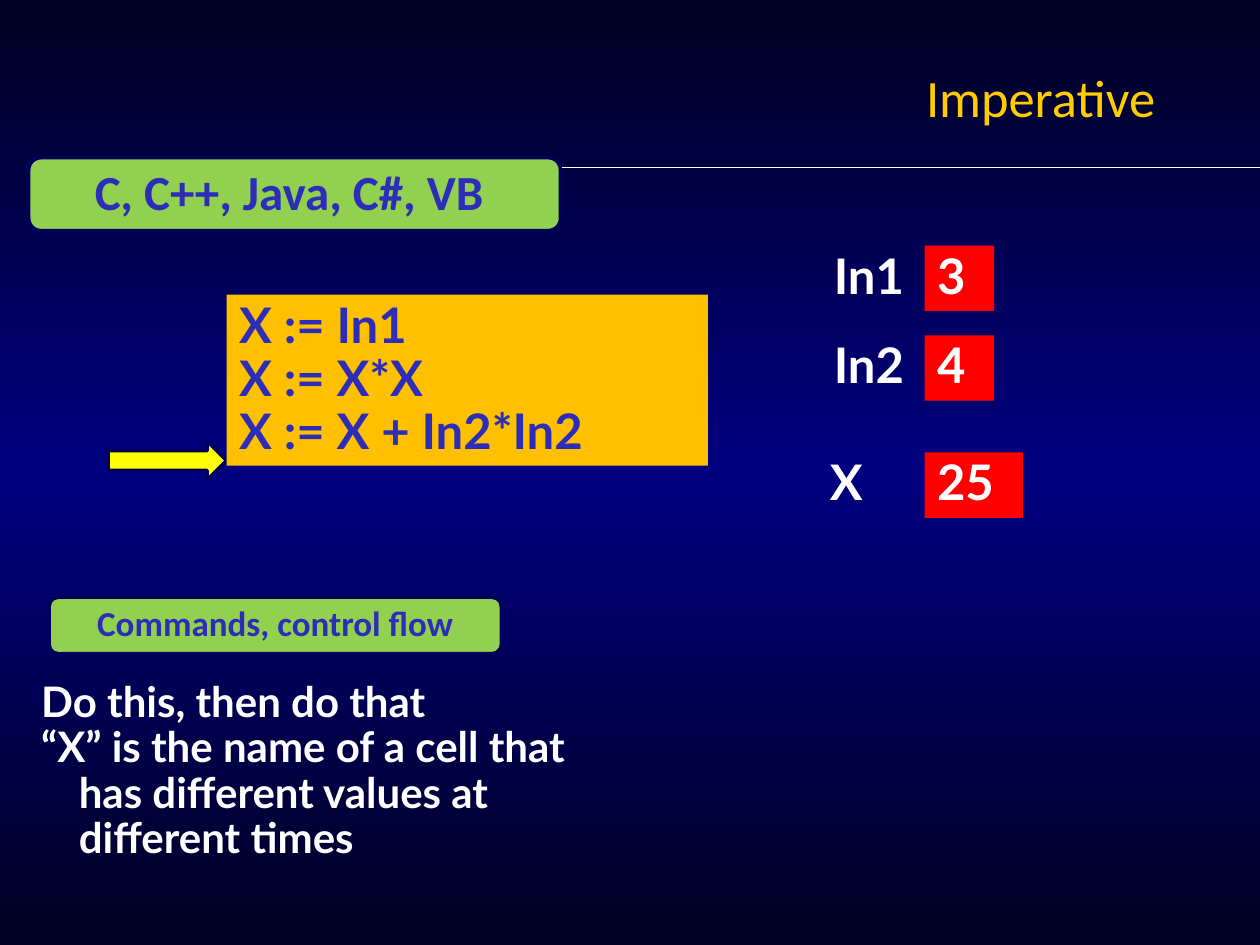
from copy import deepcopy
from dataclasses import dataclass

from lxml import etree
from pptx import Presentation
from pptx.dml.color import RGBColor
from pptx.enum.shapes import MSO_CONNECTOR, MSO_SHAPE
from pptx.enum.text import MSO_ANCHOR, PP_ALIGN
from pptx.oxml.ns import qn
from pptx.util import Cm, Pt

RECT, ROUND = MSO_SHAPE.RECTANGLE, MSO_SHAPE.ROUNDED_RECTANGLE
ARROW = MSO_SHAPE.RIGHT_ARROW
LEFT, MID, RIGHT = PP_ALIGN.LEFT, PP_ALIGN.CENTER, PP_ALIGN.RIGHT
TOP, CENTRE = MSO_ANCHOR.TOP, MSO_ANCHOR.MIDDLE
WHITE, NAVY, INK = "FFFFFF", "00005C", "2D2DB9"
GREEN, RED, AMBER = "92D050", "FF0000", "FFC000"
YELLOW, GOLD = "FFFF00", "FFCC00"


@dataclass
class Box:
    """Place of an element, in centimetres."""
    left: float
    top: float
    width: float
    height: float

    def place(self) -> tuple:
        return Cm(self.left), Cm(self.top), Cm(self.width), Cm(self.height)


@dataclass
class Style:
    size: float
    color: str
    font: str = "Lato"
    bold: bool = True
    align: PP_ALIGN = LEFT
    anchor: MSO_ANCHOR = TOP
    space: float = 0.9
    hang: float = 0
    wrap: bool = True


@dataclass
class Tag:
    box: Box
    text: str
    size: float


@dataclass
class Cell:
    """A named memory cell and the value it holds."""
    name: str
    value: str
    top: float
    left: float
    span: float
    width: float


TAGS = [
    Tag(Box(0.58, 3.18, 10.72, 1.47), "C, C++, Java, C#, VB ", 28),
    Tag(Box(0.99, 12.04, 9.12, 1.14), "Commands, control flow", 20),
]
CELLS = [
    Cell("In1", "3", 4.95, 16.56, 2.1, 1.4),
    Cell("In2", "4", 6.76, 16.56, 2.1, 1.4),
    Cell("X", "25", 9.12, 16.48, 1.17, 1.98),
]
CELL_LEFT, CELL_HIGH = 18.64, 1.32
CODE = ["X := In1", "X := X*X", "X := X + In2*In2"]
NOTES = [
    "Do this, then do that",
    "“X” is the name of a cell that has different values at different times",
]


def rgb(code: str) -> RGBColor:
    return RGBColor.from_string(code)


def paint(slide) -> None:
    """Fill the background, dark at both ends and blue in the middle."""
    fill = slide.background.fill
    fill.gradient()
    fill.gradient_angle = 90
    stops = next(slide.element.iter(qn("a:gsLst")))
    stops.append(deepcopy(stops[0]))
    shades = [(0, "000021"), (0.5, "000080"), (1, "000021")]
    for stop, (pos, color) in zip(fill.gradient_stops, shades):
        stop.position = pos
        stop.color.rgb = rgb(color)


def rule(slide, left: float, right: float, top: float) -> None:
    line = slide.shapes.add_connector(
        MSO_CONNECTOR.STRAIGHT, Cm(left), Cm(top), Cm(right), Cm(top))
    line.line.color.rgb = rgb(WHITE)
    line.line.width = Pt(0.75)
    etree.SubElement(line.element.spPr, qn("a:effectLst"))


def write(shape, lines: list[str], style: Style) -> None:
    frame = shape.text_frame
    frame.word_wrap = style.wrap
    frame.vertical_anchor = style.anchor
    for i, text in enumerate(lines):
        para = frame.add_paragraph() if i else frame.paragraphs[0]
        para.alignment = style.align
        para.line_spacing = style.space
        if style.hang:
            props = para._p.get_or_add_pPr()
            props.set("marL", str(Cm(style.hang)))
            props.set("indent", str(-Cm(style.hang)))
        run = para.add_run()
        run.text = text
        run.font.name = style.font
        run.font.size = Pt(style.size)
        run.font.bold = style.bold
        run.font.color.rgb = rgb(style.color)


def label(slide, box: Box, lines: list[str], style: Style) -> None:
    write(slide.shapes.add_textbox(*box.place()), lines, style)


def block(slide, kind: MSO_SHAPE, box: Box, color: str, edge: str = ""):
    shape = slide.shapes.add_shape(kind, *box.place())
    shape.shadow.inherit = False
    shape.fill.solid()
    shape.fill.fore_color.rgb = rgb(color)
    if edge:
        shape.line.color.rgb = rgb(edge)
        shape.line.width = Pt(2)
    else:
        shape.line.fill.background()
    return shape


def main() -> None:
    deck = Presentation()
    deck.slide_width, deck.slide_height = Cm(25.4), Cm(19.05)
    slide = deck.slides.add_slide(deck.slide_layouts[6])
    paint(slide)
    rule(slide, 2.34, 25.4, 3.38)

    for tag in TAGS:
        shape = block(slide, ROUND, tag.box, GREEN, NAVY)
        write(shape, [tag.text],
              Style(tag.size, INK, "Calibri", align=MID, anchor=CENTRE))

    label(slide, Box(0.58, 13.61, 11.13, 4.83), NOTES,
          Style(24, WHITE, hang=0.76))

    for cell in CELLS:
        shape = block(
            slide, RECT, Box(CELL_LEFT, cell.top, cell.width, CELL_HIGH), RED)
        write(shape, [cell.value], Style(28, WHITE))
        label(slide, Box(cell.left, cell.top, cell.span, CELL_HIGH),
              [cell.name], Style(28, WHITE, wrap=False))

    block(slide, ARROW, Box(2.18, 8.89, 2.39, 0.79), YELLOW, NAVY)
    code = block(slide, RECT, Box(4.57, 5.94, 9.7, 3.45), AMBER)
    write(code, CODE, Style(28, INK))

    label(slide, Box(1.85, 1.09, 21.69, 1.7), ["Imperative"],
          Style(30, GOLD, "Calibri", False, RIGHT, CENTRE, 1.0))
    deck.save("out.pptx")


if __name__ == "__main__":
    main()
